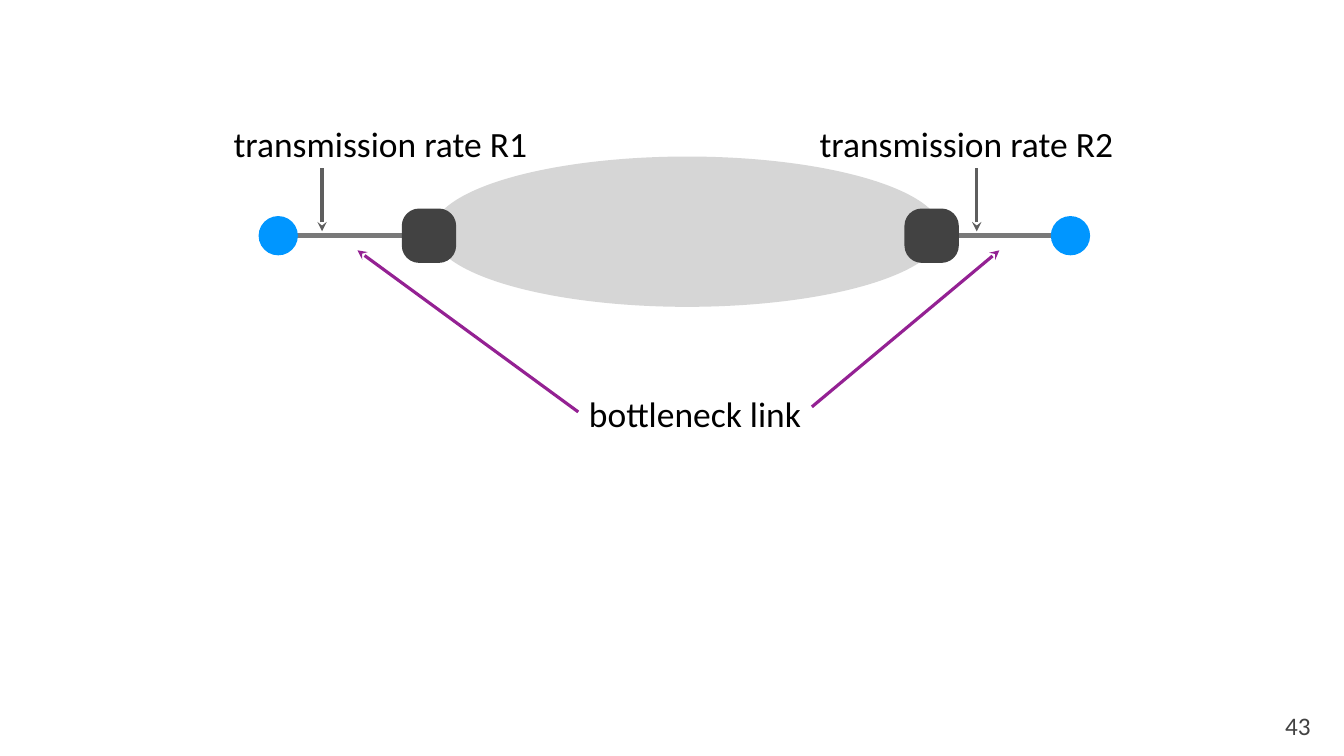
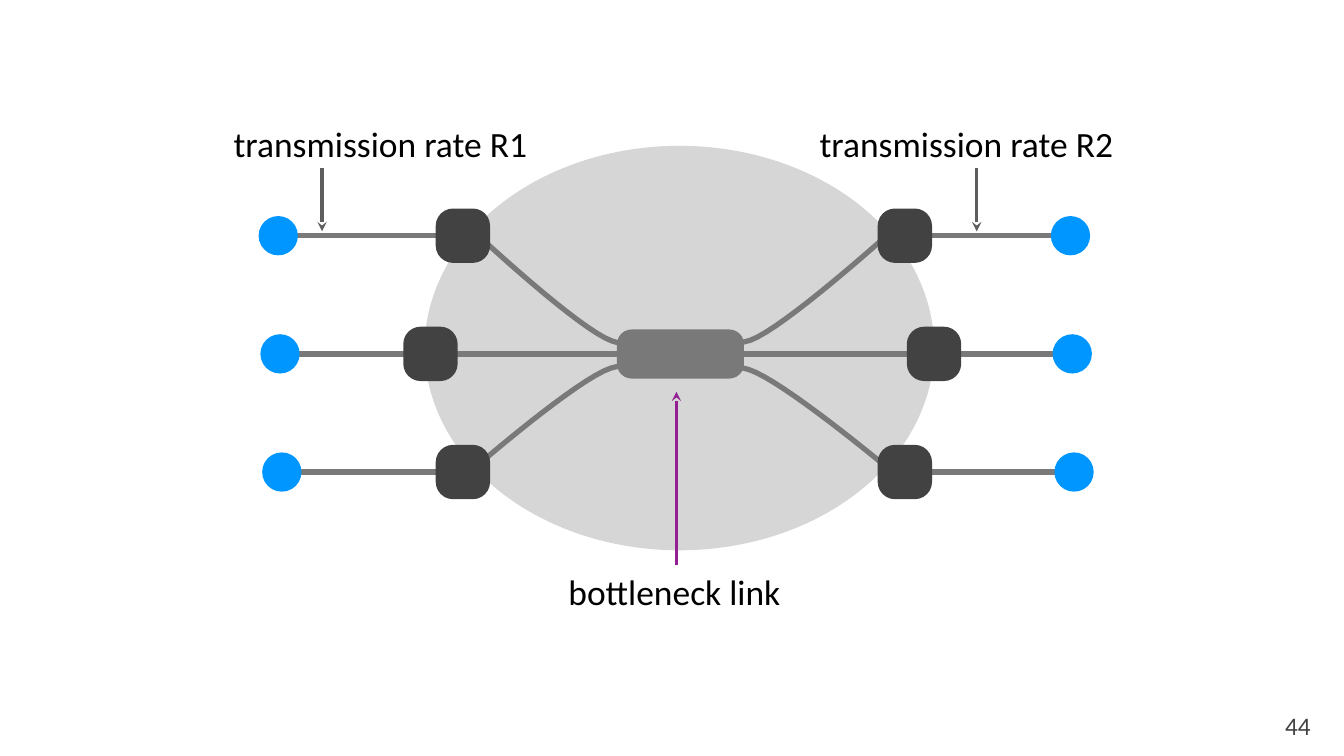
from dataclasses import dataclass
from pptx import Presentation
from pptx.dml.color import RGBColor
from pptx.enum.shapes import MSO_CONNECTOR, MSO_SHAPE
from pptx.enum.text import MSO_ANCHOR, PP_ALIGN
from pptx.oxml.xmlchemy import OxmlElement
from pptx.util import Cm, Pt


@dataclass(frozen=True)
class Theme:
    """Colours, type sizes and line widths shared by the slides."""
    cloud: str = "D6D6D6"
    router: str = "424242"
    wire: str = "797979"
    host: str = "0096FF"
    hint: str = "5E5E5E"
    accent: str = "942193"
    ink: str = "000000"
    face: str = "Calibri"
    label: float = 33.8
    page: float = 24
    thick: float = 5
    thin: float = 3


@dataclass(frozen=True)
class Box:
    """A region in centimetres that parts are placed in."""
    left: float
    top: float
    width: float = 0
    height: float = 0

    def at(self, x, y):
        """Return a point of the region as slide lengths."""
        return Cm(self.left + x), Cm(self.top + y)

    def inner(self, x, y, width, height):
        """Return a smaller region inside this one."""
        return Box(self.left + x, self.top + y, width, height)

    def frame(self):
        """Return left, top, width and height as slide lengths."""
        return *self.at(0, 0), Cm(self.width), Cm(self.height)


THEME = Theme()
BOX = Box(7.72, 3.96, 30.1, 16.8)
PAGE = Box(43.18, 23.85, 0.86, 1.02)
PITCH, SHIFT = 3.97, 0.06
HOST, ROUTER = 1.32, 1.65
LEFT, SPAN = 1.63, 26.62
RATES = (("transmission rate R1", 0, 3.1), ("transmission rate R2", 19.69, 25.1))
CURVES = (
    ((8.36, 3.96), (8.36, 3.96), (11.74, 7.11), (12.85, 7.5), (13.77, 7.83),
     (16.59, 7.77), (17.5, 7.47), (18.62, 7.06), (22.07, 3.96), (22.07, 3.96)),
    ((8.31, 11.69), (8.31, 11.69), (11.69, 8.77), (12.8, 8.41), (13.72, 8.13),
     (16.51, 8.16), (17.45, 8.46), (18.57, 8.82), (22.02, 11.69), (22.02, 11.69)),
)


def apply(target, values):
    """Set each named attribute of the target."""
    for name, value in values.items():
        setattr(target, name, value)


def stroke(line, colour, width):
    """Colour a line and set its width."""
    line.color.rgb = RGBColor.from_string(colour)
    line.width = Pt(width)


def solid(slide, kind, box, colour, edge=0):
    """Add a plain filled shape, with an edge of the same colour if asked."""
    shape = slide.shapes.add_shape(kind, *box.frame())
    shape.shadow.inherit = False
    shape.fill.solid()
    shape.fill.fore_color.rgb = RGBColor.from_string(colour)
    if edge:
        stroke(shape.line, colour, edge)
    else:
        shape.line.fill.background()
    if kind == MSO_SHAPE.ROUNDED_RECTANGLE:
        shape.adjustments[0] = 0.3


def link(slide, start, end, colour, width, head=False):
    """Add a straight line, with an arrowhead at its start if asked."""
    line = slide.shapes.add_connector(MSO_CONNECTOR.STRAIGHT, *start, *end)
    stroke(line.line, colour, width)
    props = line._element.spPr
    if head:
        tip = OxmlElement("a:headEnd")
        tip.set("type", "stealth")
        props.get_or_add_ln().append(tip)
    props.append(OxmlElement("a:effectLst"))


def write(slide, box, text, size, colour, inset=0.13, wrap=True,
          align=PP_ALIGN.LEFT, anchor=MSO_ANCHOR.MIDDLE):
    """Add one line of text."""
    frame = slide.shapes.add_textbox(*box.frame()).text_frame
    sides = ("left", "top", "right", "bottom")
    apply(frame, {f"margin_{side}": Cm(inset) for side in sides})
    apply(frame, {"word_wrap": wrap, "vertical_anchor": anchor, "text": text})
    para = frame.paragraphs[0]
    para.alignment = align
    font = para.runs[0].font
    apply(font, {"name": THEME.face, "size": Pt(size)})
    font.color.rgb = RGBColor.from_string(colour)


def middle(row):
    """Return the height of a row's centre line."""
    return 3.96 + row * PITCH


def wire(slide, box, row):
    """Run a wire between the two hosts of a row."""
    x, y = LEFT + row * SHIFT, middle(row)
    link(slide, box.at(x + 0.18, y), box.at(x + SPAN, y), THEME.wire, THEME.thick)


def ends(slide, box, row, routers):
    """Place the two hosts and two routers of a row."""
    y = middle(row)
    for side, x in enumerate(routers):
        solid(slide, MSO_SHAPE.ROUNDED_RECTANGLE,
              box.inner(x, y - ROUTER / 2, ROUTER, ROUTER), THEME.router, THEME.thick)
        mid = LEFT + row * SHIFT + side * SPAN
        solid(slide, MSO_SHAPE.OVAL,
              box.inner(mid - HOST / 2, y - HOST / 2, HOST, HOST), THEME.host)


def cloud(slide, box):
    """Fill the region with the network cloud."""
    solid(slide, MSO_SHAPE.OVAL, box, THEME.cloud)


def rates(slide, box):
    """Label the access links and point at them."""
    for text, x, tip in RATES:
        write(slide, box.inner(x, 0, 10.41, 1.7), text, THEME.label, THEME.ink)
        link(slide, box.at(tip, 3.81), box.at(tip, 1.7), THEME.hint, THEME.thin, True)


def note(slide, box, x, y, arrows):
    """Name the bottleneck and point at each candidate."""
    write(slide, box.inner(x, y, 7.8, 1.7), "bottleneck link", THEME.label, THEME.ink)
    for tip, tail in arrows:
        link(slide, box.at(*tip), box.at(*tail), THEME.accent, THEME.thin, True)


def bezier(knots, t):
    """Return the point at t on a cubic curve."""
    s = 1 - t
    terms = (s ** 3, 3 * s * s * t, 3 * s * t * t, t ** 3)
    return tuple(sum(k * knot[i] for k, knot in zip(terms, knots)) for i in (0, 1))


def curve(slide, box, knots, steps=16):
    """Draw a smooth open wire through chained cubic curves."""
    points = [box.at(*bezier(knots[i:i + 4], n / steps))
              for i in range(0, len(knots) - 1, 3) for n in range(1, steps + 1)]
    trace = slide.shapes.build_freeform(*box.at(*knots[0]))
    trace.add_line_segments(points, close=False)
    shape = trace.convert_to_shape()
    shape.shadow.inherit = False
    shape.fill.background()
    stroke(shape.line, THEME.wire, THEME.thick)


def single(slide, box):
    """Show one path whose access links may be the bottleneck."""
    wire(slide, box, 0)
    cloud(slide, box.inner(6.81, 1.3, 17.12, 5.05))
    ends(slide, box, 0, (5.87, 22.76))
    rates(slide, box)
    note(slide, box, 11.94, 9.07, (((4.29, 4.45), (11.71, 9.88)),
                                   ((25.86, 4.45), (19.56, 9.71))))


def shared(slide, box):
    """Show three paths that meet in one shared link."""
    for row in (2, 0):
        wire(slide, box, row)
    cloud(slide, box.inner(6.55, 0.94, 17.12, 13.59))
    rates(slide, box)
    for knots in CURVES:
        curve(slide, box, knots)
    wire(slide, box, 1)
    near, far = (7.01, 21.86), (5.92, 22.84)
    for row, routers in enumerate((near, far, near)):
        ends(slide, box, row, routers)
    solid(slide, MSO_SHAPE.ROUNDED_RECTANGLE,
          box.inner(13.01, 7.11, 4.27, 1.65), THEME.wire)
    note(slide, box, 11.25, 15.06, (((15.01, 9.2), (15.01, 15.01)),))


def main():
    """Build and save the slides."""
    deck = Presentation()
    apply(deck, {"slide_width": Cm(45.16), "slide_height": Cm(25.4)})
    for number, draw in enumerate((single, shared), 43):
        slide = deck.slides.add_slide(deck.slide_layouts[6])
        draw(slide, BOX)
        write(slide, PAGE, str(number), THEME.page, THEME.router, 0, False,
              PP_ALIGN.CENTER, MSO_ANCHOR.TOP)
    deck.save("out.pptx")


if __name__ == "__main__":
    main()
